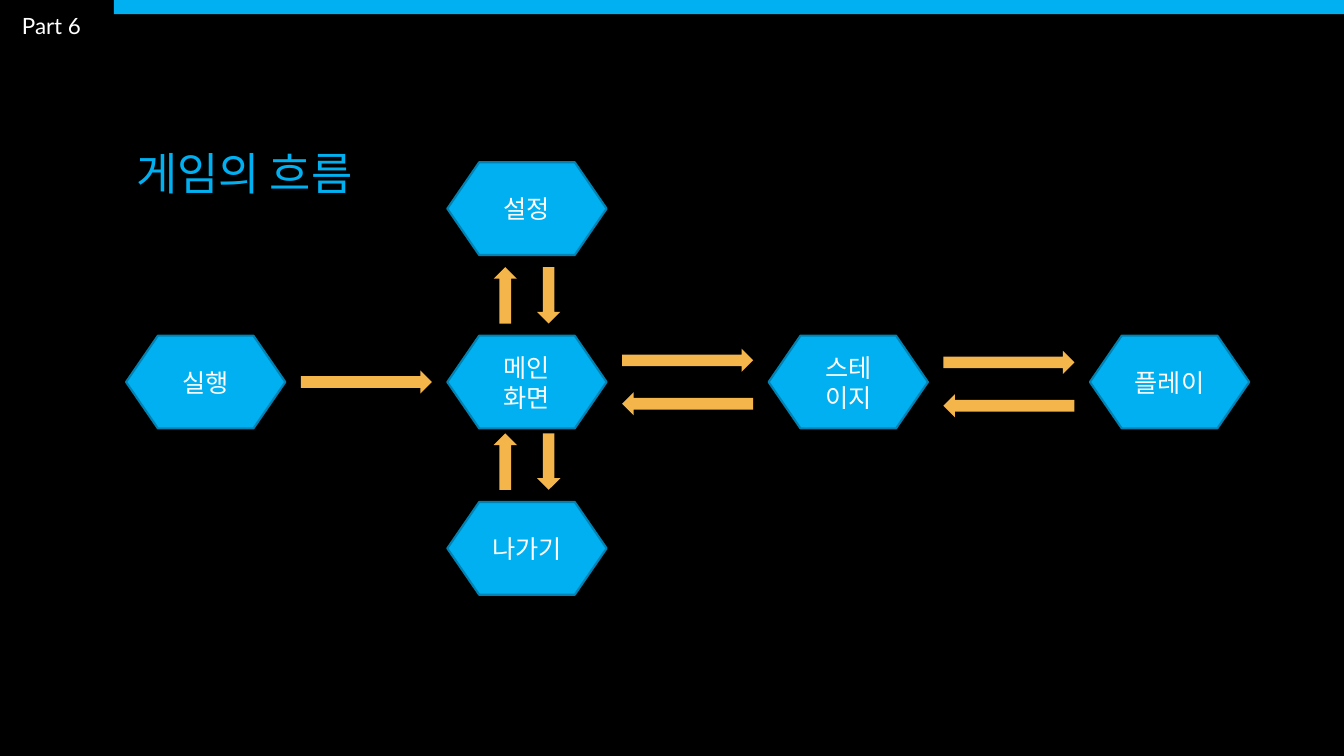
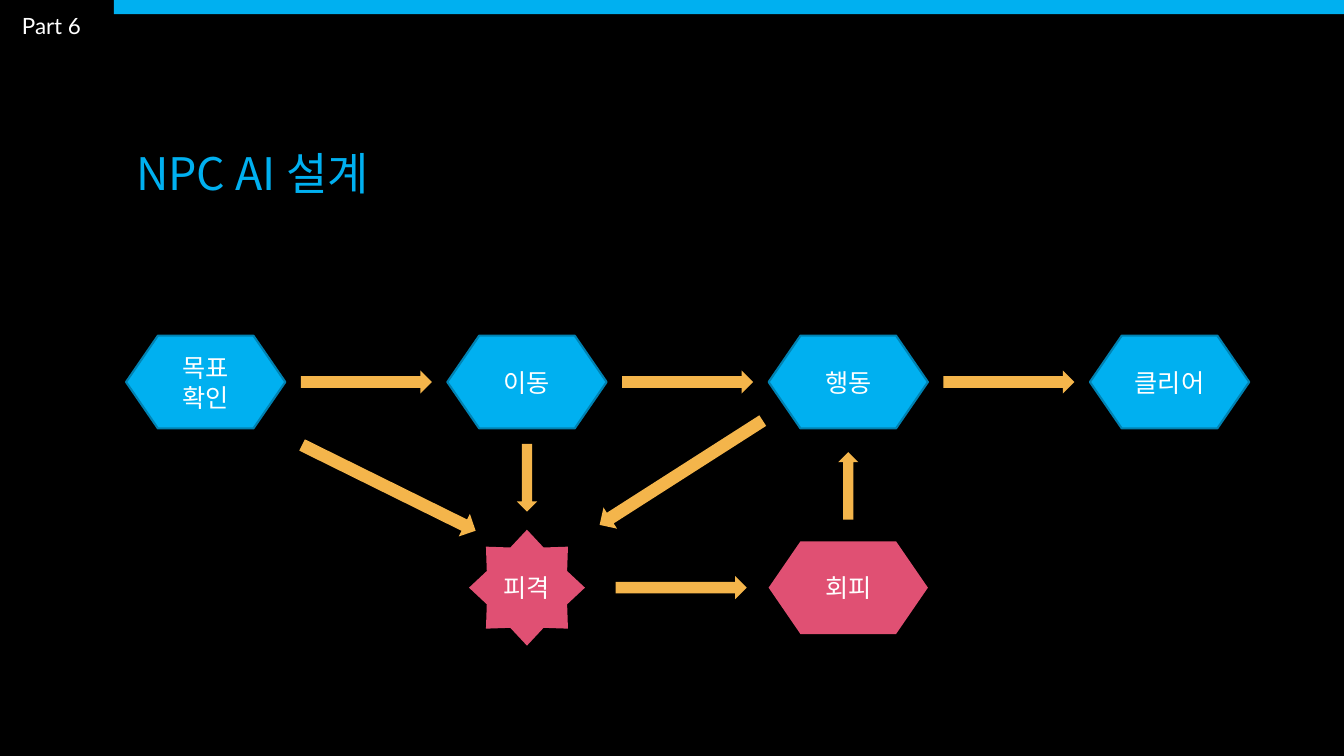
"""Build two flow diagram slides about a game and its NPC AI."""
from dataclasses import dataclass

from lxml import etree
from pptx import Presentation
from pptx.dml.color import RGBColor
from pptx.enum.shapes import MSO_SHAPE
from pptx.enum.text import MSO_ANCHOR, PP_ALIGN
from pptx.oxml.ns import qn
from pptx.util import Inches, Pt

HEXAGON = MSO_SHAPE.FLOWCHART_PREPARATION
STAR = MSO_SHAPE.STAR_8_POINT
ARROW = MSO_SHAPE.RIGHT_ARROW
BAND = MSO_SHAPE.RECTANGLE
MIDDLE, TOP = MSO_ANCHOR.MIDDLE, MSO_ANCHOR.TOP
LEFT, CENTER = PP_ALIGN.LEFT, PP_ALIGN.CENTER


@dataclass(frozen=True)
class Theme:
    """Colours, fonts and type sizes of the deck."""
    back: str = "000000"
    accent: str = "00B0F0"
    edge: str = "0082B2"
    alert: str = "E05073"
    arrow: str = "F4B54B"
    text: str = "FFFFFF"
    korean: str = "Noto Sans CJK KR"
    latin: str = "Lato"
    title_size: int = 32
    node_size: int = 18
    label_size: int = 16


THEME = Theme()
WIDTH, HEIGHT = 13.33, 7.5
FIRST_X, LAST_X, COLUMNS = 2.04, 11.6, 4
PITCH = (LAST_X - FIRST_X) / (COLUMNS - 1)
NODE = (1.58, 0.92)
BURST = (1.15, 1.15)
LONG, SHORT = (1.3, 0.23), (0.56, 0.23)
SLANTED, SLIM = (1.92, 0.25), (0.67, 0.2)
LANE = 0.215
MAIN_Y, UPPER_Y, LOWER_Y, ALERT_Y = 3.79, 2.07, 5.44, 5.83
PART = "Part 6"

SLIDES = [
    {
        "title": "게임의 흐름",
        "nodes": [("실행", 0, MAIN_Y), ("메인 화면", 1, MAIN_Y),
                  ("스테 이지", 2, MAIN_Y), ("플레이", 3, MAIN_Y),
                  ("나가기", 1, LOWER_Y), ("설정", 1, UPPER_Y)],
        "alerts": [],
        "arrows": [(0.5, MAIN_Y, LONG, 0)],
        "pairs": [(1.5, MAIN_Y, LONG, 0), (2.5, 3.81, LONG, 0),
                  (1, 2.93, SHORT, 90), (1, 4.58, SHORT, 90)],
    },
    {
        "title": "NPC AI 설계",
        "nodes": [("목표 확인", 0, MAIN_Y), ("이동", 1, MAIN_Y),
                  ("행동", 2, MAIN_Y), ("클리어", 3, MAIN_Y)],
        "alerts": [("피격", 1, STAR, BURST), ("회피", 2, HEXAGON, NODE)],
        "arrows": [(0.5, MAIN_Y, LONG, 0), (1.5, MAIN_Y, LONG, 0),
                   (2.5, MAIN_Y, LONG, 0), (0.57, 4.84, SLANTED, 26.3),
                   (1, 4.74, SLIM, 90), (1.48, 4.69, SLANTED, 147.4),
                   (1.48, ALERT_Y, LONG, 0), (2, 4.82, SLIM, 270)],
        "pairs": [],
    },
]


def color(value):
    """Return an RGB colour from its hex name."""
    return RGBColor.from_string(value)


def column_x(column):
    """Return the centre of a column, which may be fractional."""
    return FIRST_X + column * PITCH


def write(shape, words, size, ink, font, align=LEFT, anchor=MIDDLE, shadow=False):
    """Fill a shape with one formatted run."""
    frame = shape.text_frame
    frame.word_wrap = True
    frame.vertical_anchor = anchor
    para = frame.paragraphs[0]
    para.alignment = align
    span = para.add_run()
    span.text = words
    span.font.size = Pt(size)
    span.font.color.rgb = color(ink)
    properties = span.font.color.rgb and span.font._element
    if shadow:
        effects = etree.SubElement(properties, qn("a:effectLst"))
        outer = etree.SubElement(effects, qn("a:outerShdw"), blurRad="38100",
                                 dist="19050", dir="2700000")
        tint = etree.SubElement(outer, qn("a:srgbClr"), val=THEME.back)
        etree.SubElement(tint, qn("a:alpha"), val="40000")
    span.font.name = font
    etree.SubElement(properties, qn("a:ea"), typeface=font)


def add_figure(shapes, kind, center, size, fill, edge=None, turn=0):
    """Add a flat preset shape around its centre."""
    (x, y), (width, height) = center, size
    figure = shapes.add_shape(kind, Inches(x - width / 2), Inches(y - height / 2),
                              Inches(width), Inches(height))
    figure.shadow.inherit = False
    figure.fill.solid()
    figure.fill.fore_color.rgb = color(fill)
    if edge:
        figure.line.color.rgb = color(edge)
        figure.line.width = Pt(1.5)
    else:
        figure.line.fill.background()
    figure.rotation = turn
    return figure


def add_node(page, words, kind, center, size, fill, edge=None):
    """Add a labelled step of the flow."""
    node = add_figure(page.shapes, kind, center, size, fill, edge)
    write(node, words, THEME.node_size, THEME.text, THEME.korean, CENTER,
          shadow=edge is not None)


def add_pair(page, column, y, size, turn):
    """Add two opposite arrows in parallel lanes as one group."""
    group = page.shapes.add_group_shape()
    x = column_x(column)
    for side, angle in ((-1, turn), (1, turn + 180)):
        center = (x - side * LANE, y) if turn == 90 else (x, y + side * LANE)
        add_figure(group.shapes, ARROW, center, size, THEME.arrow, turn=angle)


def add_frame(page, title):
    """Place the title, the top band and the part label."""
    heading = page.shapes.title
    heading.left, heading.top = Inches(1.25), Inches(0.67)
    heading.width, heading.height = Inches(10.83), Inches(2.08)
    write(heading, title, THEME.title_size, THEME.accent, THEME.korean)
    band_left, band_height = 1.13, 0.14
    add_figure(page.shapes, BAND, ((band_left + WIDTH) / 2, band_height / 2),
               (WIDTH - band_left, band_height), THEME.accent)
    label = page.shapes.add_textbox(Inches(0.12), Inches(0.07),
                                    Inches(1.13), Inches(0.37))
    write(label, PART, THEME.label_size, THEME.text, THEME.latin, anchor=TOP)


def add_page(deck, content):
    """Build one slide from its content."""
    page = deck.slides.add_slide(deck.slide_layouts[5])
    add_frame(page, content["title"])
    for words, column, y in content["nodes"]:
        add_node(page, words, HEXAGON, (column_x(column), y), NODE,
                 THEME.accent, THEME.edge)
    for words, column, kind, size in content["alerts"]:
        add_node(page, words, kind, (column_x(column), ALERT_Y), size, THEME.alert)
    for column, y, size, turn in content["arrows"]:
        add_figure(page.shapes, ARROW, (column_x(column), y), size,
                   THEME.arrow, turn=turn)
    for pair in content["pairs"]:
        add_pair(page, *pair)


def main():
    """Create the deck and save it."""
    deck = Presentation()
    deck.slide_width, deck.slide_height = Inches(WIDTH), Inches(HEIGHT)
    backdrop = deck.slide_master.background.fill
    backdrop.solid()
    backdrop.fore_color.rgb = color(THEME.back)
    for content in SLIDES:
        add_page(deck, content)
    deck.save("out.pptx")


if __name__ == "__main__":
    main()
